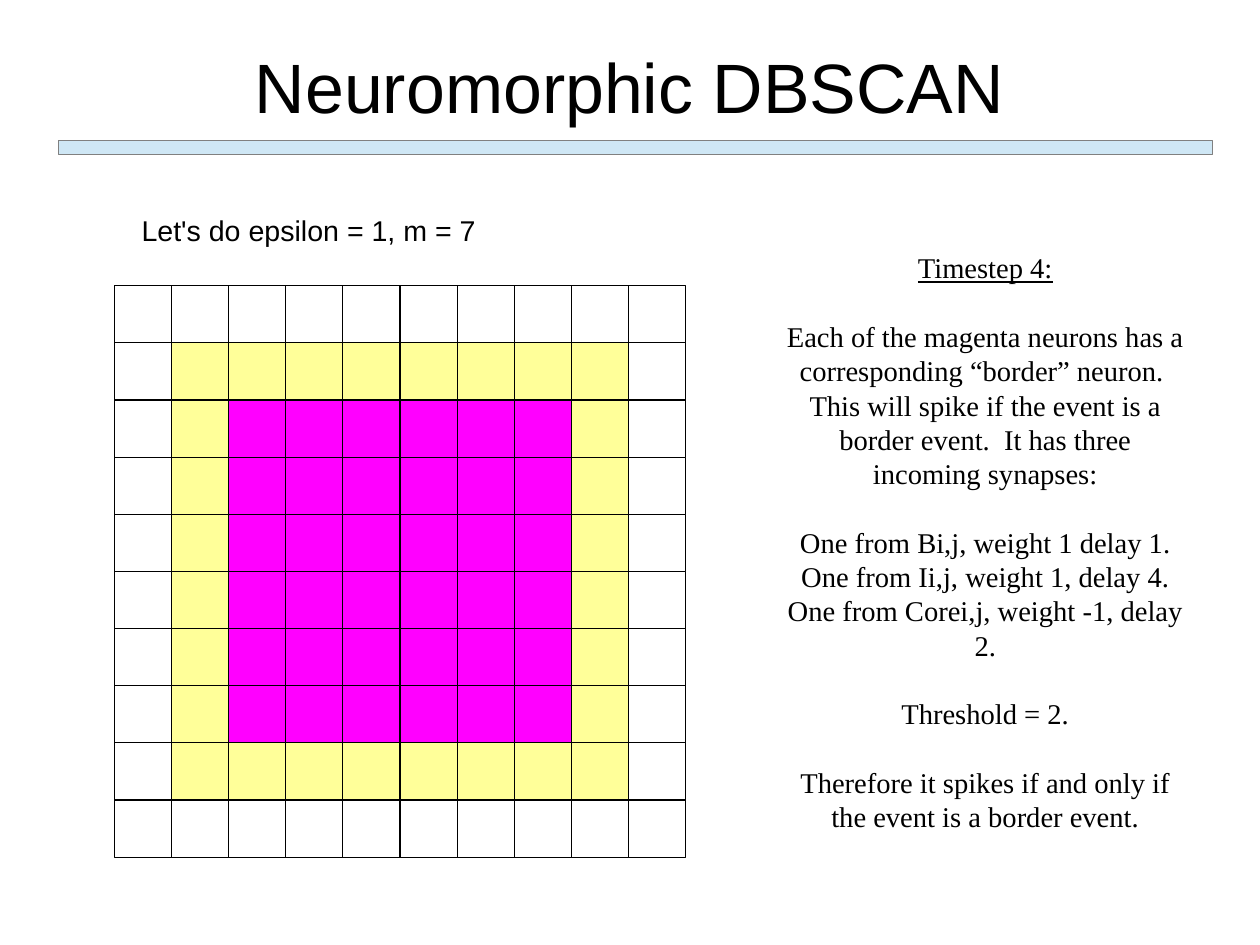
"""Build the slide on timestep 4 of neuromorphic DBSCAN."""
from itertools import product

from pptx import Presentation
from pptx.dml.color import RGBColor
from pptx.enum.shapes import MSO_SHAPE
from pptx.enum.text import MSO_ANCHOR, MSO_AUTO_SIZE, PP_ALIGN
from pptx.util import Inches, Pt

TITLE = "Neuromorphic DBSCAN"
SETUP = "Let's do epsilon = 1, m = 7"
HEAD = "Timestep 4:"
GROUPS = [
    [HEAD],
    ["Each of the magenta neurons has a corresponding “border” neuron.  "
     "This will spike if the event is a border event.  "
     "It has three incoming synapses:"],
    ["One from Bi,j, weight 1 delay 1.",
     "One from Ii,j, weight 1, delay 4.",
     "One from Corei,j, weight -1, delay 2."],
    ["Threshold = 2."],
    ["Therefore it spikes if and only if the event is a border event."],
]
WIDE, HIGH, CM = 28, 21, 2.54
COUNT, CELL, LEFT, TOP = 10, 0.5, 1, 2.5
THEME = {
    "sans": "Arial", "serif": "Times New Roman",
    "title": 44, "body": 18, "pitch": 21.6,
    "ink": "000000", "bar": "CFE7F5", "edge": "808080",
    "rings": ["FFFFFF", "FFFF99", "FF00FF"],
}


def color(name):
    return RGBColor.from_string(name)


def add_rect(slide, box, fill, line):
    rect = slide.shapes.add_shape(MSO_SHAPE.RECTANGLE, *map(Inches, box))
    rect.shadow.inherit = False
    rect.fill.solid()
    rect.fill.fore_color.rgb = color(fill)
    rect.line.color.rgb = color(line)
    rect.line.width = Pt(0)


def add_frame(slide, box, anchor=MSO_ANCHOR.TOP, wrap=True, pad=(0.1, 0.05)):
    frame = slide.shapes.add_textbox(*map(Inches, box)).text_frame
    frame.word_wrap = wrap
    frame.auto_size = MSO_AUTO_SIZE.NONE if wrap else MSO_AUTO_SIZE.SHAPE_TO_FIT_TEXT
    frame.vertical_anchor = anchor
    frame.margin_left = frame.margin_right = Inches(pad[0])
    frame.margin_top = frame.margin_bottom = Inches(pad[1])
    return frame


def add_run(para, text, face, size, align=PP_ALIGN.CENTER):
    para.alignment = align
    run = para.add_run()
    run.text = text
    run.font.name = THEME[face]
    run.font.size = Pt(THEME[size])
    run.font.color.rgb = color(THEME["ink"])
    return run


def add_grid(slide):
    last = COUNT - 1
    for col, row in product(range(COUNT), repeat=2):
        ring = min(col, row, last - col, last - row, 2)
        box = (LEFT + col * CELL, TOP + row * CELL, CELL, CELL)
        add_rect(slide, box, THEME["rings"][ring], THEME["ink"])


def add_notes(slide):
    frame = add_frame(slide, (6.78, 2.34, 3.68, 4.8), MSO_ANCHOR.MIDDLE)
    para = frame.paragraphs[0]
    for group in GROUPS:
        for rank, text in enumerate(group):
            if text != HEAD:
                para = frame.add_paragraph()
                para.space_before = Pt(0 if rank else THEME["pitch"])
            para.line_spacing = Pt(THEME["pitch"])
            run = add_run(para, text, "serif", "body")
            run.font.underline = text == HEAD


def main():
    deck = Presentation()
    deck.slide_width, deck.slide_height = Inches(WIDE / CM), Inches(HIGH / CM)
    slide = deck.slides.add_slide(deck.slide_layouts[6])
    title = add_frame(slide, (0.55, 0.41, 9.92, 0.68), MSO_ANCHOR.MIDDLE, pad=(0, 0))
    add_run(title.paragraphs[0], TITLE, "sans", "title")
    add_grid(slide)
    setup = add_frame(slide, (1.14, 1.81, 3.14, 0.38), wrap=False)
    add_run(setup.paragraphs[0], SETUP, "sans", "body", PP_ALIGN.LEFT)
    add_rect(slide, (0.51, 1.23, 10.1, 0.12), THEME["bar"], THEME["edge"])
    add_notes(slide)
    deck.save("out.pptx")


if __name__ == "__main__":
    main()
